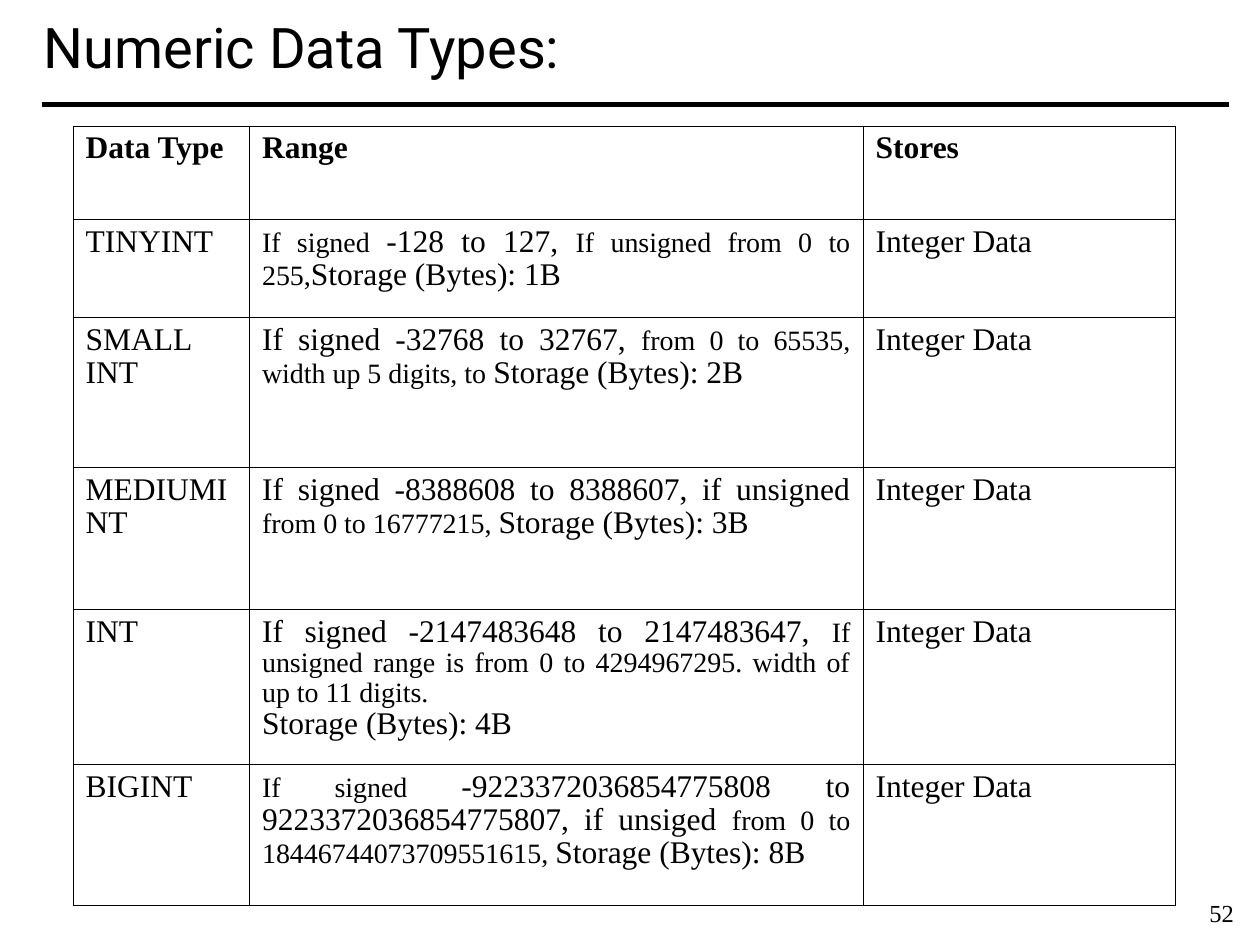
"""Build the slide that lists the numeric data types and their ranges."""
from lxml.etree import SubElement
from pptx import Presentation
from pptx.dml.color import RGBColor
from pptx.enum.shapes import MSO_CONNECTOR as Connector
from pptx.enum.text import MSO_ANCHOR as Anchor, PP_ALIGN as Align
from pptx.oxml.ns import qn
from pptx.util import Inches, Pt

COLORS = {"ink": "000000", "paper": "FFFFFF"}
TITLE_FONT, BODY_FONT = "Roboto", "Times New Roman"
LARGE, SMALL = 18, 16
BORDER_WIDTH = 0.45
COLUMN_WIDTHS = [1.4, 4.87, 2.48]
ROW_HEIGHTS = [0.74, 0.78, 1.19, 1.13, 1.23, 1.12]
HEADINGS = ["Data Type", "Range", "Stores"]
STORED = "Integer Data"
RANGES = {
    "TINYINT": [[
        ("If signed ", SMALL), ("-128 to 127, ", LARGE),
        ("If unsigned from 0 to 255,", SMALL), ("Storage (Bytes): 1B ", LARGE),
    ]],
    "SMALL INT": [[
        ("If signed -32768 to 32767, ", LARGE),
        ("from 0 to 65535, width up 5 digits, to ", SMALL),
        ("Storage (Bytes): 2B", LARGE),
    ]],
    "MEDIUMINT": [[
        ("If signed -8388608 to 8388607, if unsigned ", LARGE),
        ("from 0 to 16777215, ", SMALL), ("Storage (Bytes): 3B", LARGE),
    ]],
    "INT": [
        [("If signed -2147483648 to 2147483647, ", LARGE),
         ("If unsigned range is from 0 to 4294967295. width of up to 11 digits.", SMALL)],
        [("Storage (Bytes): 4B", LARGE)],
    ],
    "BIGINT": [[
        ("If signed ", SMALL),
        ("-9223372036854775808 to 9223372036854775807, if unsiged ", LARGE),
        ("from 0 to 18446744073709551615, ", SMALL), ("Storage (Bytes): 8B", LARGE),
    ]],
}


def color(name):
    """Return the named colour."""
    return RGBColor.from_string(COLORS[name])


def style_font(font, name, size, bold=False):
    """Set the face, size, weight and colour of a font."""
    font.name, font.size, font.bold = name, Pt(size), bold
    font.color.rgb = color("ink")


def add_text(page, text, place, name, size, anchor=Anchor.TOP):
    """Add a text box with one paragraph."""
    box = page.shapes.add_textbox(*map(Inches, place))
    box.text_frame.word_wrap = True
    box.text_frame.vertical_anchor = anchor
    para = box.text_frame.paragraphs[0]
    para.text = text
    style_font(para.font, name, size)


def add_rule(page, left, right, top, width):
    """Add a horizontal line without a shadow."""
    rule = page.shapes.add_connector(
        Connector.STRAIGHT, Inches(left), Inches(top), Inches(right), Inches(top))
    rule.line.color.rgb = color("ink")
    rule.line.width = Pt(width)
    SubElement(rule._element.spPr, qn("a:effectLst"))


def add_borders(cell):
    """Draw a thin line on all four sides of a cell."""
    properties = cell._tc.get_or_add_tcPr()
    for index, side in enumerate(("a:lnL", "a:lnR", "a:lnT", "a:lnB")):
        line = properties.makeelement(qn(side), {"w": str(Pt(BORDER_WIDTH))})
        fill = SubElement(line, qn("a:solidFill"))
        SubElement(fill, qn("a:srgbClr"), val=COLORS["ink"])
        properties.insert(index, line)


def fill_cell(cell, paragraphs, bold=False):
    """Write justified paragraphs of sized text into a bordered cell."""
    cell.fill.solid()
    cell.fill.fore_color.rgb = color("paper")
    add_borders(cell)
    frame = cell.text_frame
    for index, spans in enumerate(paragraphs):
        para = frame.add_paragraph() if index else frame.paragraphs[0]
        para.alignment = Align.JUSTIFY
        para.line_spacing = 0.95
        for text, size in spans:
            span = para.add_run()
            span.text = text
            style_font(span.font, BODY_FONT, size, bold)


def add_type_table(page, left, top):
    """Add the table with one row for each data type."""
    table = page.shapes.add_table(
        len(ROW_HEIGHTS), len(COLUMN_WIDTHS), Inches(left), Inches(top),
        Inches(sum(COLUMN_WIDTHS)), Inches(sum(ROW_HEIGHTS))).table
    table.first_row = table.horz_banding = False
    for column, width in zip(table.columns, COLUMN_WIDTHS):
        column.width = Inches(width)
    for row, height in zip(table.rows, ROW_HEIGHTS):
        row.height = Inches(height)
    rows = [[[[(heading, LARGE)]] for heading in HEADINGS]]
    rows += [[[[(name, LARGE)]], limits, [[(STORED, LARGE)]]]
             for name, limits in RANGES.items()]
    for row_index, (row, contents) in enumerate(zip(table.rows, rows)):
        for cell, paragraphs in zip(row.cells, contents):
            fill_cell(cell, paragraphs, bold=row_index == 0)


def main():
    """Build and save the deck."""
    deck = Presentation()
    deck.slide_width, deck.slide_height = Inches(10), Inches(7.5)
    page = deck.slides.add_slide(deck.slide_layouts[6])
    add_rule(page, 0.33, 9.75, 0.83, 3)
    add_text(page, "52", (9.5, 7.08, 0.5, 0.34), BODY_FONT, 14)
    add_text(page, "Numeric Data Types:\v", (0.25, 0.17, 9.5, 0.92),
             TITLE_FONT, 32, Anchor.MIDDLE)
    add_type_table(page, 0.58, 1)
    deck.save("out.pptx")


if __name__ == "__main__":
    main()
